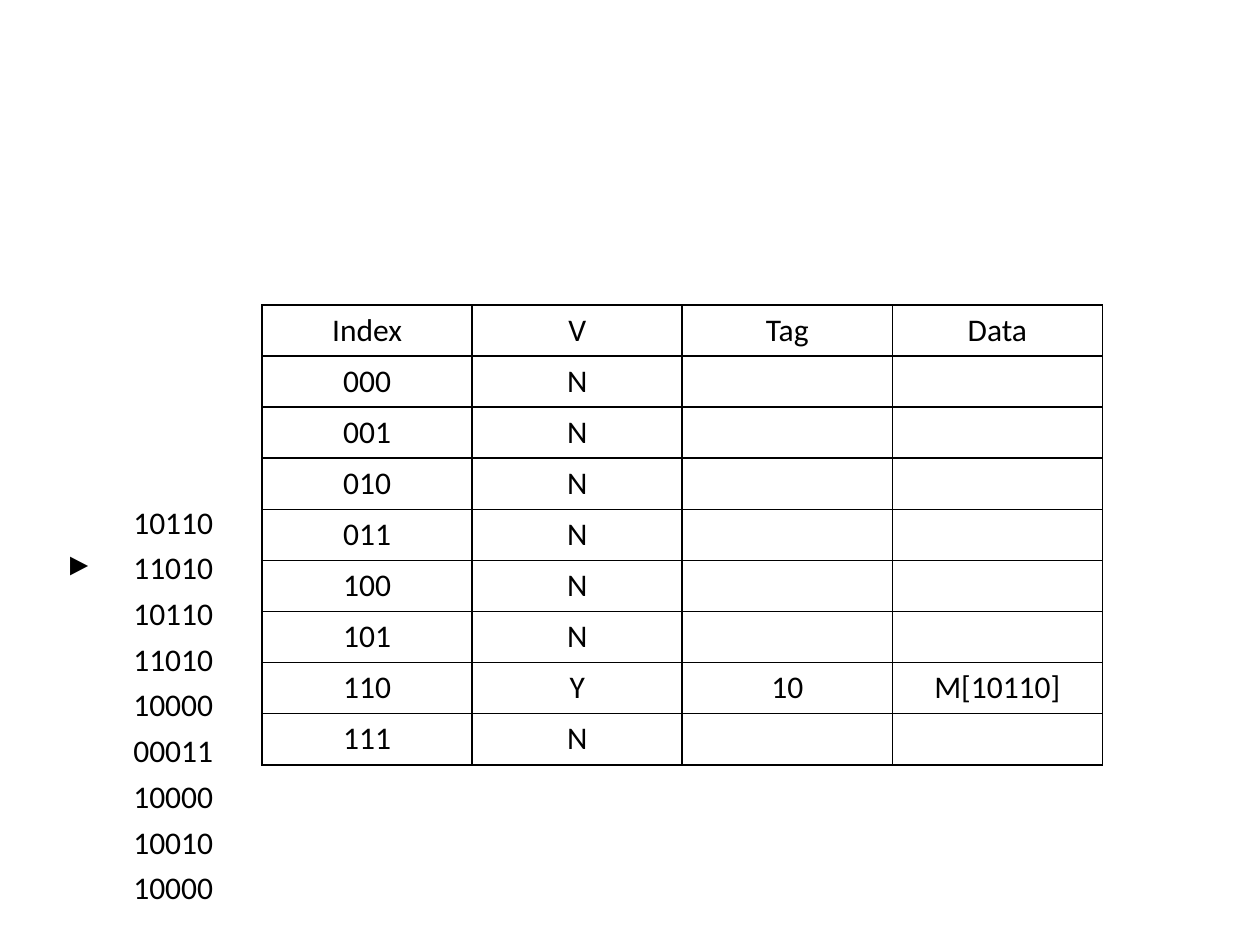
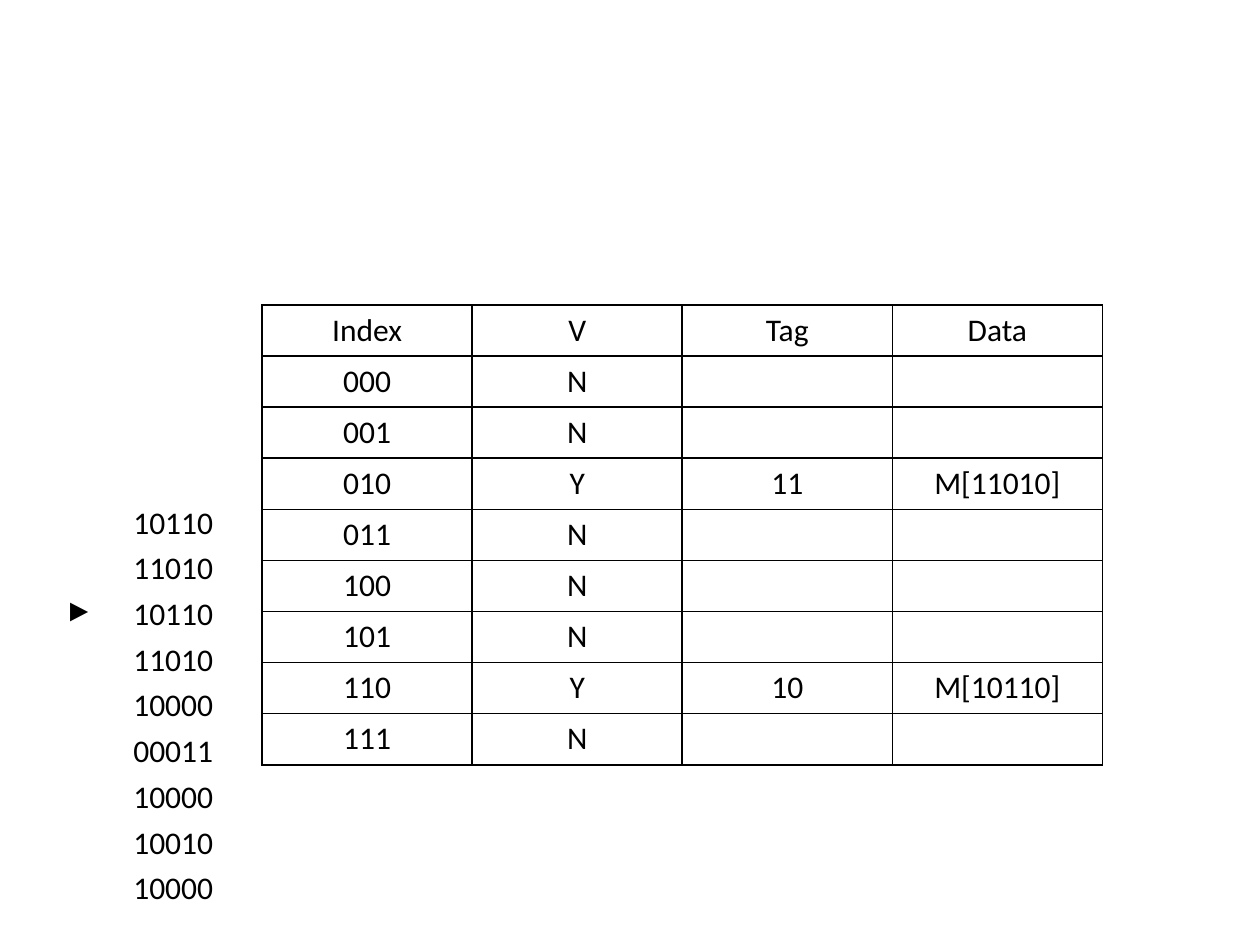
from dataclasses import dataclass

from lxml.etree import SubElement
from pptx import Presentation
from pptx.dml.color import RGBColor
from pptx.enum.text import MSO_ANCHOR, PP_ALIGN
from pptx.oxml.ns import qn
from pptx.slide import Slide
from pptx.table import _Cell as Cell
from pptx.util import Inches, Length, Pt


@dataclass(frozen=True)
class Theme:
    ink: RGBColor = RGBColor(0x00, 0x00, 0x00)
    font: str = "Calibri"
    marker_font: str = "Courier New"
    text_size: Length = Pt(18)
    border: Length = Pt(1)
    plain_table: str = "{2D5ABB26-0587-4C30-8999-92F81FD0307C}"


@dataclass(frozen=True)
class GridStyle:
    left: Length
    top: Length
    width: Length
    height: Length
    margin_x: Length
    margin_y: Length
    bordered: bool


@dataclass(frozen=True)
class CacheStep:
    current_access: int
    loaded: tuple[str, ...]


THEME = Theme()
CACHE_GRID = GridStyle(Inches(2.08), Inches(2.42), Inches(6.67), Inches(3.65),
                       Inches(0.1), Inches(0.05), True)
TRACE_GRID = GridStyle(Inches(0.25), Inches(4), Inches(1.5), Inches(3.27),
                       Inches(0), Inches(0), False)
MARKER = "►"
HEADER = ["Index", "V", "Tag", "Data"]
INDEX_BITS = 3
ACCESSES = ["10110", "11010", "10110", "11010", "10000",
            "00011", "10000", "10010", "10000"]
STEPS = [
    CacheStep(current_access=1, loaded=("10110",)),
    CacheStep(current_access=2, loaded=("10110", "11010")),
]


def add_borders(cell: Cell) -> None:
    properties = cell._tc.get_or_add_tcPr()
    for side in ("a:lnL", "a:lnR", "a:lnT", "a:lnB"):
        line = SubElement(properties, qn(side), w=str(THEME.border))
        fill = SubElement(line, qn("a:solidFill"))
        SubElement(fill, qn("a:srgbClr"), val=str(THEME.ink))


def write_cell(cell: Cell, text: str, style: GridStyle) -> None:
    cell.margin_left = cell.margin_right = style.margin_x
    cell.margin_top = cell.margin_bottom = style.margin_y
    cell.vertical_anchor = MSO_ANCHOR.TOP
    if style.bordered:
        add_borders(cell)
    cell.fill.background()
    para = cell.text_frame.paragraphs[0]
    para.alignment = PP_ALIGN.CENTER
    if text:
        span = para.add_run()
        span.text = text
        span.font.name = THEME.marker_font if text == MARKER else THEME.font
        span.font.size = THEME.text_size
        span.font.color.rgb = THEME.ink


def add_grid(page: Slide, rows: list[list[str]], style: GridStyle) -> None:
    frame = page.shapes.add_table(len(rows), len(rows[0]), style.left, style.top,
                                  style.width, style.height)
    for style_id in frame.element.iter(qn("a:tableStyleId")):
        style_id.text = THEME.plain_table
    table = frame.table
    table.first_row = table.horz_banding = False
    for row, texts in zip(table.rows, rows):
        for cell, text in zip(row.cells, texts):
            write_cell(cell, text, style)


def cache_rows(loaded: tuple[str, ...]) -> list[list[str]]:
    lines = {address[-INDEX_BITS:]: address for address in loaded}
    rows = [HEADER]
    for number in range(2 ** INDEX_BITS):
        index = f"{number:0{INDEX_BITS}b}"
        address = lines.get(index)
        if address:
            rows.append([index, "Y", address[:-INDEX_BITS], f"M[{address}]"])
        else:
            rows.append([index, "N", "", ""])
    return rows


def trace_rows(current_access: int) -> list[list[str]]:
    return [[MARKER if position == current_access else "", address]
            for position, address in enumerate(ACCESSES)]


def main() -> None:
    deck = Presentation()
    deck.slide_width, deck.slide_height = Inches(10), Inches(7.5)
    blank = deck.slide_layouts.get_by_name("Blank")
    for step in STEPS:
        page = deck.slides.add_slide(blank)
        add_grid(page, cache_rows(step.loaded), CACHE_GRID)
        add_grid(page, trace_rows(step.current_access), TRACE_GRID)
    deck.save("out.pptx")


if __name__ == "__main__":
    main()
